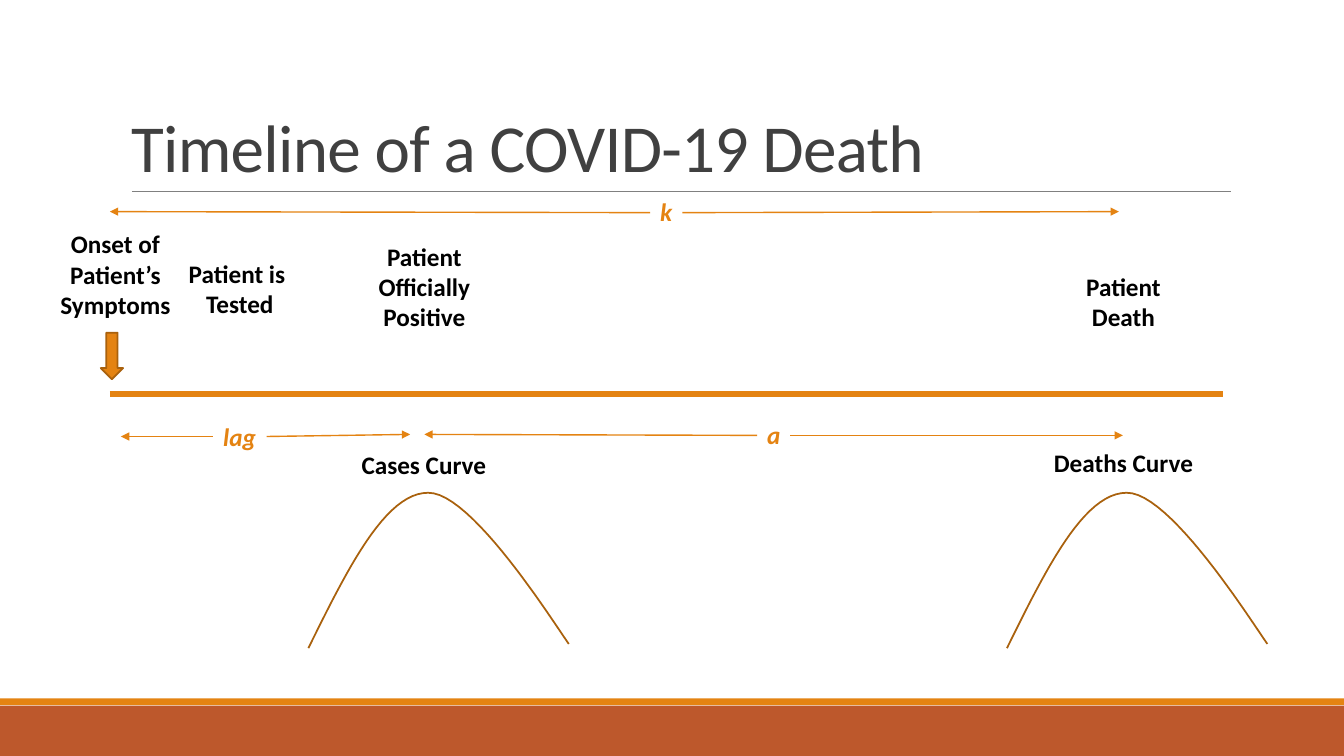
from dataclasses import dataclass

import lxml.etree
import pptx
import pptx.dml.color
import pptx.enum.dml
import pptx.enum.shapes
import pptx.enum.text
import pptx.oxml.ns
import pptx.shapes.base
import pptx.shapes.connector
import pptx.slide
import pptx.text.text
import pptx.util
from pptx.util import Pt

RGBColor = pptx.dml.color.RGBColor
ORANGE = RGBColor(0xE4, 0x83, 0x12)
BROWN = RGBColor(0xA9, 0x61, 0x0D)
RUST = RGBColor(0xBD, 0x58, 0x2C)
GREY = RGBColor(0x80, 0x80, 0x80)
DARK = RGBColor(0x40, 0x40, 0x40)
BLACK = RGBColor(0, 0, 0)

FONT = "Calibri"
SLIDE_WIDTH, SLIDE_HEIGHT = 960, 540
CURVE_STEPS = 24
Point = tuple[float, float]


@dataclass(frozen=True)
class Label:
    lines: tuple[str, ...]
    left: float
    top: float
    width: float
    height: float


@dataclass(frozen=True)
class Interval:
    """A named span of time: a label with one arrow out to each end."""
    name: str
    left: Point
    right: Point
    label_left: float
    label_top: float
    label_width: float
    arrow_y: float


LABELS = (
    Label(("Onset of Patient’s Symptoms",), 35.3, 159.8, 94.3, 72.7),
    Label(("Patient is ", "Tested"), 123.1, 180.7, 96.5, 51),
    Label(("Patient Officially Positive",), 254.9, 168.5, 96.5, 72.7),
    Label(("Patient", "Death"), 755.3, 190.1, 94.3, 51),
    Label(("Cases Curve",), 236.9, 317.5, 131.8, 29),
    Label(("Deaths Curve",), 736.6, 316.1, 131.8, 29),
)

INTERVALS = (
    Interval("k", (78.5, 151.2), (799.2, 151.2), 464.4, 136.8, 23, 151.9),
    Interval("lag", (86.4, 311.8), (293, 310.3), 151.9, 297.4, 38.5, 311.8),
    Interval("a", (303.1, 310.3), (802.1, 311), 540.9, 295.9, 23.4, 311),
)

CURVE_LEFTS = (220.3, 719.3)
# Two Bezier segments, rising and falling, with x measured from the curve's left
CURVE = (
    ((0, 463), (27.4, 407.5), (54.7, 352), (85.5, 352)),
    ((85.5, 352), (116.5, 351.4), (174.8, 444.2), (186, 460)),
)


def bezier_point(controls: tuple[Point, ...], t: float) -> Point:
    weights = ((1 - t) ** 3, 3 * t * (1 - t) ** 2, 3 * t ** 2 * (1 - t), t ** 3)
    x, y = (sum(w * c for w, c in zip(weights, axis)) for axis in zip(*controls))
    return x, y


def add_line(slide: pptx.slide.Slide, start: Point, end: Point, color: RGBColor,
             width: float, arrow: bool = False) -> None:
    line = slide.shapes.add_connector(
        pptx.enum.shapes.MSO_CONNECTOR.STRAIGHT, *map(Pt, start + end))
    line.line.color.rgb = color
    line.line.width = Pt(width)
    qn = pptx.oxml.ns.qn
    if arrow:
        lxml.etree.SubElement(line.line._get_or_add_ln(), qn("a:tailEnd"), type="triangle")
    lxml.etree.SubElement(line._element.spPr, qn("a:effectLst"))


def add_solid(slide: pptx.slide.Slide, kind: pptx.enum.shapes.MSO_SHAPE, left: float,
              top: float, width: float, height: float, fill: RGBColor,
              outline: RGBColor | None = None) -> None:
    solid = slide.shapes.add_shape(kind, Pt(left), Pt(top), Pt(width), Pt(height))
    solid.shadow.inherit = False
    solid.fill.solid()
    solid.fill.fore_color.rgb = fill
    if outline is None:
        solid.line.fill.background()
    else:
        solid.line.color.rgb = outline
        solid.line.width = Pt(1.25)


def add_label(slide: pptx.slide.Slide, label: Label, color: RGBColor = BLACK,
              italic: bool = False, wrap: bool = True) -> None:
    frame = slide.shapes.add_textbox(
        Pt(label.left), Pt(label.top), Pt(label.width), Pt(label.height)).text_frame
    frame.word_wrap = wrap
    frame.text = "\n".join(label.lines)
    for paragraph in frame.paragraphs:
        paragraph.alignment = pptx.enum.text.PP_ALIGN.CENTER
        font = paragraph.font
        font.name, font.size, font.bold, font.italic = FONT, Pt(18), True, italic
        font.color.rgb = color


def add_interval(slide: pptx.slide.Slide, interval: Interval) -> None:
    add_label(slide, Label((interval.name,), interval.label_left, interval.label_top,
                           interval.label_width, 29), ORANGE, italic=True, wrap=False)
    label_right = interval.label_left + interval.label_width
    for start_x, end in ((interval.label_left, interval.left),
                         (label_right, interval.right)):
        add_line(slide, (start_x, interval.arrow_y), end, ORANGE, 1, arrow=True)


def add_curve(slide: pptx.slide.Slide, left: float) -> None:
    points = [bezier_point(segment, step / CURVE_STEPS)
              for segment in CURVE for step in range(CURVE_STEPS + 1)]
    (start_x, start_y), *rest = [(Pt(left + x), Pt(y)) for x, y in points]
    builder = slide.shapes.build_freeform(start_x, start_y)
    builder.add_line_segments(rest, close=False)
    curve = builder.convert_to_shape()
    curve.shadow.inherit = False
    curve.fill.background()
    curve.line.color.rgb = BROWN
    curve.line.width = Pt(1.25)


def set_title(slide: pptx.slide.Slide, text: str) -> None:
    title = slide.shapes.title
    title.left, title.top, title.width, title.height = map(Pt, (86.4, 22.3, 792, 114.5))
    frame = title.text_frame
    frame.text = text
    frame.word_wrap = True
    frame.auto_size = pptx.enum.text.MSO_AUTO_SIZE.NONE
    frame.vertical_anchor = pptx.enum.text.MSO_ANCHOR.BOTTOM
    heading = frame.paragraphs[0]
    heading.alignment = pptx.enum.text.PP_ALIGN.LEFT
    heading.line_spacing = 0.85
    heading.font.name, heading.font.size = FONT, Pt(48)
    heading.font.color.rgb = DARK
    heading.runs[0]._r.get_or_add_rPr().set("spc", "-50")


def main() -> None:
    deck = pptx.Presentation()
    deck.slide_width, deck.slide_height = Pt(SLIDE_WIDTH), Pt(SLIDE_HEIGHT)
    slide = deck.slides.add_slide(deck.slide_layouts.get_by_name("Title Only"))
    shapes = pptx.enum.shapes.MSO_SHAPE

    add_solid(slide, shapes.RECTANGLE, 0, 504, SLIDE_WIDTH, 36, RUST)
    add_solid(slide, shapes.RECTANGLE, 0, 498.8, SLIDE_WIDTH, 5, ORANGE)
    add_line(slide, (94.3, 136.8), (879, 136.8), GREY, 0.5)
    set_title(slide, "Timeline of a COVID-19 Death")

    add_line(slide, (78.5, 281.3), (873.4, 281.3), ORANGE, 4.5)
    add_solid(slide, shapes.DOWN_ARROW, 72, 237.6, 16, 33.3, ORANGE, BROWN)
    for label in LABELS:
        add_label(slide, label)
    for left in CURVE_LEFTS:
        add_curve(slide, left)
    for interval in INTERVALS:
        add_interval(slide, interval)

    deck.save("out.pptx")


if __name__ == "__main__":
    main()
